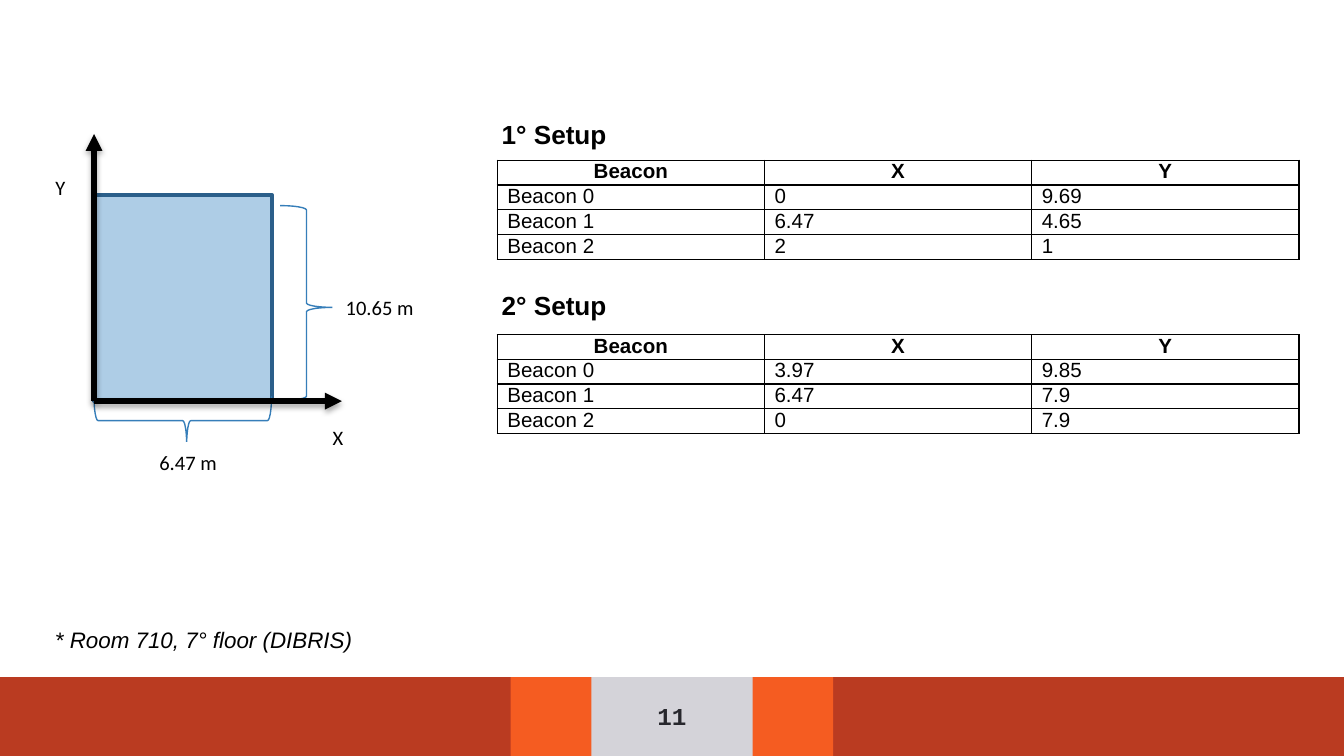
from dataclasses import dataclass

from lxml import etree
from pptx import Presentation
from pptx import util as u
from pptx.dml.color import RGBColor
from pptx.enum import shapes, text
from pptx.oxml import parse_xml
from pptx.oxml.ns import nsdecls, qn


@dataclass(frozen=True)
class Theme:
    background: str = "27272D"
    paper: str = "FFFFFF"
    ink: str = "000000"
    band: str = "BA3B21"
    accent: str = "F55C21"
    page_tab: str = "D4D3D9"
    room: str = "AECDE6"
    room_edge: str = "2B5F8A"
    brace: str = "367EB9"
    body_font: str = "Arial"
    label_font: str = "Calibri"
    number_font: str = "Courier New"
    small: int = 11
    note: int = 12
    number: int = 13
    heading: int = 14


THEME = Theme()
COLUMNS, ROWS = 100, 56.25
FOOTER_HEIGHT = 6
FOOTER_TOP = ROWS - FOOTER_HEIGHT
ORIGIN_X, ORIGIN_Y = 7, 29.85
HEADER = ("Beacon", "X", "Y")
SETUPS = (
    ("1° Setup", 8.33, 11.93, ("0", "9.69"), ("6.47", "4.65"), ("2", "1")),
    ("2° Setup", 21.04, 24.9, ("3.97", "9.85"), ("6.47", "7.9"), ("0", "7.9")),
)


def grid(*cells):
    """Turn grid cells, a tenth of an inch each, into lengths."""
    return [u.Inches(cell / 10) for cell in cells]


def color(value):
    return RGBColor.from_string(value)


def write(frame, content, *, size, font=THEME.body_font, ink=THEME.ink, bold=False,
          italic=False, align=text.PP_ALIGN.LEFT, line_spacing=None, after=None):
    paragraph = frame.paragraphs[0]
    paragraph.alignment = align
    paragraph.line_spacing = line_spacing
    if after is not None:
        paragraph.space_after = u.Pt(after)
    run = paragraph.add_run()
    run.text = content
    run.font.size = u.Pt(size)
    run.font.name = font
    run.font.bold = bold
    run.font.italic = italic
    run.font.color.rgb = color(ink)


def add_block(parent, kind, box, fill=None, line=None, width=1):
    shape = parent.add_shape(kind, *grid(*box))
    shape.shadow.inherit = False
    if fill:
        shape.fill.solid()
        shape.fill.fore_color.rgb = color(fill)
    else:
        shape.fill.background()
    if line:
        shape.line.color.rgb = color(line)
        shape.line.width = u.Pt(width)
    else:
        shape.line.fill.background()
    return shape


def add_text(parent, box, content, *, inset=None, fill=None,
             anchor=text.MSO_ANCHOR.TOP, **style):
    shape = parent.add_textbox(*grid(*box))
    if fill:
        shape.fill.solid()
        shape.fill.fore_color.rgb = color(fill)
    frame = shape.text_frame
    frame.word_wrap = True
    frame.vertical_anchor = anchor
    if inset is not None:
        frame.margin_top = frame.margin_bottom = grid(inset)[0]
    write(frame, content, **style)


def add_brace(parent, box, rotation, flipped=False):
    brace = add_block(parent, shapes.MSO_SHAPE.LEFT_BRACE, box,
                      line=THEME.brace, width=0.75)
    brace.adjustments[0], brace.adjustments[1] = 0.083, 0.478
    brace.rotation = rotation
    if flipped:
        brace._element.spPr.find(qn("a:xfrm")).set("flipH", "1")


def add_axis(parent, end_x, end_y):
    axis = parent.add_connector(shapes.MSO_CONNECTOR.STRAIGHT,
                                *grid(ORIGIN_X, ORIGIN_Y, end_x, end_y))
    axis.line.color.rgb = color(THEME.ink)
    axis.line.width = u.Pt(3)
    etree.SubElement(axis.line._get_or_add_ln(), qn("a:tailEnd"), type="triangle")
    axis._element.spPr.append(parse_xml(
        f'<a:effectLst {nsdecls("a")}><a:outerShdw blurRad="{u.Pt(3.1)}" '
        f'dist="{u.Pt(1.8)}" dir="5400000" rotWithShape="0"><a:srgbClr val="{THEME.ink}">'
        '<a:alpha val="35000"/></a:srgbClr></a:outerShdw></a:effectLst>'))


def add_borders(cell):
    properties = cell._tc.get_or_add_tcPr()
    for side in ("lnL", "lnR", "lnT", "lnB"):
        properties.append(parse_xml(
            f'<a:{side} {nsdecls("a")} w="{u.Pt(0.75)}"><a:solidFill>'
            f'<a:srgbClr val="{THEME.ink}"/></a:solidFill></a:{side}>'))


def add_beacon_table(slide, top, positions):
    rows = [HEADER] + [(f"Beacon {i}", *xy) for i, xy in enumerate(positions)]
    table = slide.shapes.add_table(len(rows), len(HEADER),
                                   *grid(37, top, 59.65, 7.3)).table
    table.first_row = table.horz_banding = False
    for i, row in enumerate(rows):
        for j, value in enumerate(row):
            cell = table.cell(i, j)
            cell.margin_left = cell.margin_right = u.Pt(5.4)
            cell.margin_top = cell.margin_bottom = 0
            add_borders(cell)
            cell.fill.background()
            write(cell.text_frame, value, size=THEME.small, bold=i == 0,
                  align=text.PP_ALIGN.LEFT if i else text.PP_ALIGN.CENTER)


def add_frame(slide):
    rectangle = shapes.MSO_SHAPE.RECTANGLE
    for width, fill in ((COLUMNS, THEME.band), (24, THEME.accent), (12, THEME.page_tab)):
        add_block(slide.shapes, rectangle,
                  ((COLUMNS - width) / 2, FOOTER_TOP, width, FOOTER_HEIGHT), fill)
    add_block(slide.shapes, rectangle, (0, 0, COLUMNS, FOOTER_TOP),
              THEME.paper, THEME.paper, 2)
    add_text(slide.shapes, (44, FOOTER_TOP, 12, FOOTER_HEIGHT), "11", inset=1,
             anchor=text.MSO_ANCHOR.MIDDLE, size=THEME.number, font=THEME.number_font,
             ink=THEME.background, bold=True, align=text.PP_ALIGN.CENTER)


def add_room_plan(slide):
    plan = slide.shapes.add_group_shape().shapes
    add_block(plan, shapes.MSO_SHAPE.RECTANGLE, (ORIGIN_X, 14.53, 13.25, 15.3),
              THEME.room, THEME.room_edge, 2)
    add_brace(plan, (20.85, 15.3, 3.9, 14.5), 180)
    add_brace(plan, (11.8, 24.7, 3.6, 13.2), 90, flipped=True)
    add_axis(plan, 25.43, ORIGIN_Y)
    add_axis(plan, ORIGIN_X, 9.97)
    for content, box in (("10.65 m", (24.74, 21.34, 8, 4.2)),
                         ("6.47 m", (10.87, 32.9, 6.6, 2.6)),
                         ("X", (23.77, 31, 4.4, 2.6)),
                         ("Y", (3.14, 12.4, 2.9, 2.6))):
        add_text(plan, box, content, fill=THEME.paper, size=THEME.small,
                 font=THEME.label_font, line_spacing=1.07, after=8)


def main():
    presentation = Presentation()
    presentation.slide_width, presentation.slide_height = grid(COLUMNS, ROWS)
    slide = presentation.slides.add_slide(presentation.slide_layouts[6])
    slide.background.fill.solid()
    slide.background.fill.fore_color.rgb = color(THEME.background)
    add_frame(slide)
    add_room_plan(slide)
    for heading, heading_top, table_top, *positions in SETUPS:
        add_beacon_table(slide, table_top, positions)
        add_text(slide.shapes, (36.34, heading_top, 27.3, 3.4), heading,
                 size=THEME.heading, bold=True)
    add_text(slide.shapes, (3.1, 45.6, 40.9, 5.6), "* Room 710, 7° floor (DIBRIS)",
             inset=1, size=THEME.note, italic=True)
    presentation.save("out.pptx")


if __name__ == "__main__":
    main()
